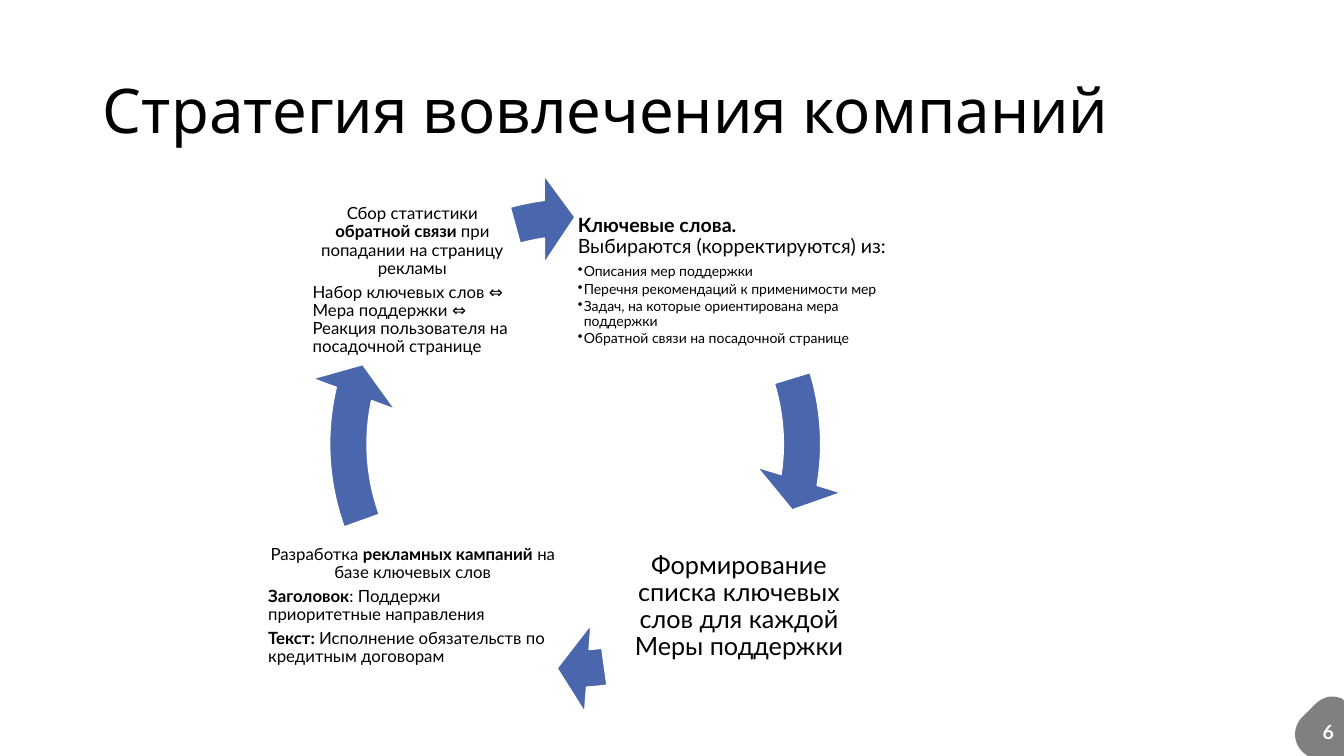
import pptx
import pptx.util
import pptx.dml.color
import pptx.enum.shapes
import pptx.enum.text
import pptx.oxml.ns
from lxml import etree

SLIDE_W = pptx.util.Inches(13.33)
SLIDE_H = pptx.util.Inches(7.5)
COLORS = {"text": "000000", "arrow": "4A66AC", "line": "FFFFFF", "tab": "808080", "number": "FFFFFF"}
BODY_FONT = "Lato"
TITLE_FONT = "League Spartan"
ALIGN = pptx.enum.text.PP_ALIGN
qn = pptx.oxml.ns.qn


def x(percent):
    return round(SLIDE_W * percent / 100)


def y(percent):
    return round(SLIDE_H * percent / 100)


def box(left, top, width, height):
    return x(left), y(top), x(width), y(height)


def rgb(name):
    return pptx.dml.color.RGBColor.from_string(COLORS[name])


def style_run(r, size, font=BODY_FONT, color="text", bold=False):
    r.font.size = pptx.util.Pt(size)
    r.font.name = font
    r.font.bold = bold
    r.font.color.rgb = rgb(color)


def add_title(s, text):
    sp = s.shapes.title
    sp.left, sp.top, sp.width, sp.height = box(6.9, 5.33, 86.25, 19.33)
    tf = sp.text_frame
    tf.text = text
    tf.vertical_anchor = pptx.enum.text.MSO_ANCHOR.MIDDLE
    p = tf.paragraphs[0]
    p.alignment = ALIGN.LEFT
    p.line_spacing = 0.9
    style_run(p.runs[0], 44, TITLE_FONT)


def add_bullet(p):
    p.level = 1
    pPr = p._p.get_or_add_pPr()
    indent = pptx.util.Inches(0.06)
    pPr.set("marL", str(indent))
    pPr.set("indent", str(-indent))
    etree.SubElement(pPr, qn("a:buChar"), char="•")


def fill_paragraph(p, text, size, align=ALIGN.LEFT, bullet=False):
    if bullet:
        add_bullet(p)
    p.alignment = align
    p.line_spacing = 0.9
    p.space_after = pptx.util.Pt(size * (0.15 if bullet else 0.35))
    for row, line in enumerate(text.split("\n")):
        if row:
            p.add_line_break()
        for i, part in enumerate(line.split("*")):
            if part:
                r = p.add_run()
                r.text = part
                style_run(r, size, bold=i % 2 == 1)
    for br in p._p.findall(qn("a:br")):
        etree.SubElement(br, qn("a:rPr"), sz=str(size * 100))


def add_step(s, place, inset, paragraphs):
    tf = s.shapes.add_textbox(*box(*place)).text_frame
    tf.word_wrap = True
    tf.vertical_anchor = pptx.enum.text.MSO_ANCHOR.MIDDLE
    margin = pptx.util.Inches(inset)
    tf.margin_left = tf.margin_right = tf.margin_top = tf.margin_bottom = margin
    for i, options in enumerate(paragraphs):
        p = tf.add_paragraph() if i else tf.paragraphs[0]
        fill_paragraph(p, *options)


def add_cycle_arrow(s, left, top, head_angle, tail_angle):
    sp = s.shapes.add_shape(pptx.enum.shapes.MSO_SHAPE.CIRCULAR_ARROW, *box(left, top, 40.28, 71.6))
    for i, value in enumerate((0.069, 4.656, head_angle, tail_angle, 0.081)):
        sp.adjustments[i] = value
    sp.shadow.inherit = False
    sp.fill.solid()
    sp.fill.fore_color.rgb = rgb("arrow")
    sp.line.color.rgb = rgb("line")
    sp.line.width = pptx.util.Pt(1)


def curve(*points, steps=12):
    def at(t, axis):
        a, b, c, d = (point[axis] for point in points)
        u = 1 - t
        return u**3 * a + 3 * u * u * t * b + 3 * u * t * t * c + t**3 * d

    return [(at(k / steps, 0), at(k / steps, 1)) for k in range(steps + 1)]


def add_page_tab(s, number):
    outline = curve((99.17, 92.13), (99.4, 92.13), (99.62, 92.27), (99.85, 92.4))
    outline += [(100, 92.67), (100, 100), (97.3, 100)]
    outline += curve((96.92, 99.47), (96.17, 98.13), (96.17, 96.13), (96.92, 94.8))
    outline += curve((97.82, 93.2), (98.2, 92.53), (98.65, 92.13), (99.17, 92.13))
    points = [(x(px), y(py)) for px, py in outline]
    builder = s.shapes.build_freeform(*points[0])
    builder.add_line_segments(points[1:], close=True)
    sp = builder.convert_to_shape()
    sp.shadow.inherit = False
    sp.fill.solid()
    sp.fill.fore_color.rgb = rgb("tab")
    sp.line.fill.background()

    tf = s.shapes.add_textbox(*box(97.67, 94.53, 2.25, 4.53)).text_frame
    tf.word_wrap = False
    tf.text = number
    style_run(tf.paragraphs[0].runs[0], 14, color="number", bold=True)


def main():
    prs = pptx.Presentation()
    prs.slide_width, prs.slide_height = SLIDE_W, SLIDE_H
    s = prs.slides.add_slide(prs.slide_layouts[5])
    add_page_tab(s, "6")
    add_title(s, "Стратегия вовлечения компаний")

    sources = (
        "Описания мер поддержки",
        "Перечня рекомендаций к применимости мер",
        "Задач, на которые ориентирована мера поддержки",
        "Обратной связи на посадочной странице",
    )
    add_step(s, (42.84, 24.53, 24.23, 25.33), 0.02, [
        ("*Ключевые слова. *\nВыбираются (корректируются) из:", 14),
        *((source, 10, ALIGN.LEFT, True) for source in sources),
    ])
    add_step(s, (45.24, 67.6, 19.5, 25.33), 0.03, [
        ("Формирование списка ключевых слов для каждой Меры поддержки", 18, ALIGN.CENTER),
    ])
    add_step(s, (19.8, 68.93, 21.83, 22.53), 0.02, [
        ("Разработка *рекламных кампаний* на базе ключевых слов", 12, ALIGN.CENTER),
        ("*Заголовок*: Поддержи приоритетные направления", 12),
        ("*Текст: *Исполнение обязательств по кредитным договорам", 12),
    ])
    add_step(s, (23.11, 26.27, 15.15, 21.73), 0.02, [
        ("Сбор статистики *обратной связи *при попадании на страницу рекламы", 12, ALIGN.CENTER),
        ("Набор ключевых слов ⇔ Мера поддержки ⇔ Реакция пользователя на посадочной странице", 12),
    ])

    add_cycle_arrow(s, 22.66, 22.93, 5.485, 205.859)
    add_cycle_arrow(s, 22.51, 22.67, 51.779, 49.255)
    add_cycle_arrow(s, 22.66, 22.93, 115.639, 96.145)
    add_cycle_arrow(s, 22.66, 22.93, 157.312, 152.805)
    prs.save("out.pptx")


if __name__ == "__main__":
    main()
